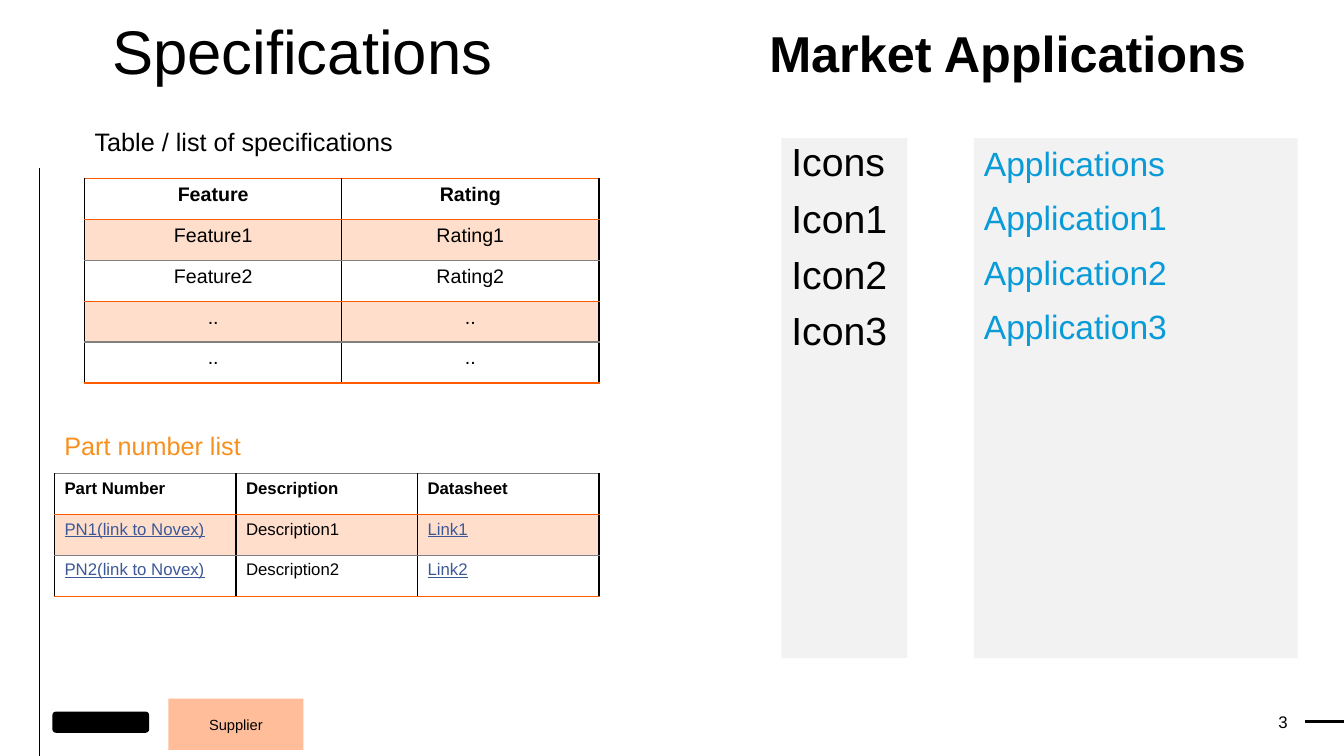
from dataclasses import dataclass

from lxml import etree
from pptx import Presentation
from pptx.dml.color import RGBColor
from pptx.enum.shapes import MSO_CONNECTOR, MSO_SHAPE
from pptx.enum.text import MSO_ANCHOR, MSO_AUTO_SIZE, PP_ALIGN
from pptx.oxml.ns import qn
from pptx.util import Inches, Pt

LEFT, CENTER, RIGHT = PP_ALIGN.LEFT, PP_ALIGN.CENTER, PP_ALIGN.RIGHT
TOP, MIDDLE = MSO_ANCHOR.TOP, MSO_ANCHOR.MIDDLE
RECTANGLE, ROUNDED = MSO_SHAPE.RECTANGLE, MSO_SHAPE.ROUNDED_RECTANGLE
STRAIGHT = MSO_CONNECTOR.STRAIGHT
NO_FIT = MSO_AUTO_SIZE.NONE
TITLE_ONLY = 5


@dataclass(frozen=True)
class Theme:
    font: str = "Arial"
    ink: str = "000000"
    rule: str = "808080"
    orange: str = "FF5B00"
    heading: str = "F7901E"
    link: str = "3C5896"
    blue: str = "099BD8"
    panel: str = "F2F2F2"
    badge: str = "FFBD99"
    band_alpha: int = 20
    title: float = 44
    subtitle: float = 36
    icon: float = 28
    application: float = 24
    label: float = 18
    feature: float = 14
    listing: float = 12
    small: float = 10.5


THEME = Theme()


def rgb(color):
    return RGBColor.from_string(color)


def style(para, size, color=THEME.ink, bold=False, align=LEFT, underline=False):
    para.alignment = align
    font = para.font
    font.name, font.size, font.bold = THEME.font, Pt(size), bold
    font.underline = underline
    font.color.rgb = rgb(color)


def write(shape, lines, size, anchor=TOP, inset=True, line_spacing=None,
          space_before=0, wrap=True, **look):
    """Fill a shape's text frame with equally styled paragraphs."""
    frame = shape.text_frame
    frame.word_wrap, frame.auto_size = wrap, NO_FIT
    frame.vertical_anchor = anchor
    frame.margin_left = frame.margin_right = Inches(0.1 if inset else 0)
    frame.margin_top = frame.margin_bottom = Inches(0.05 if inset else 0)
    frame.text = "\n".join(lines)
    for para in frame.paragraphs:
        style(para, size, **look)
        para.space_before = Pt(space_before)
        if line_spacing:
            para.line_spacing = line_spacing


def add_label(page, at, text, size, **look):
    box = page.shapes.add_textbox(*map(Inches, at))
    write(box, [text], size, **look)


def add_block(page, at, fill, kind=RECTANGLE):
    block = page.shapes.add_shape(kind, *map(Inches, at))
    block.shadow.inherit = False
    block.fill.solid()
    block.fill.fore_color.rgb = rgb(fill)
    block.line.fill.background()
    return block


def add_rule(page, start, end, width):
    rule = page.shapes.add_connector(STRAIGHT, *map(Inches, start + end))
    rule.line.color.rgb = rgb(THEME.ink)
    rule.line.width = Pt(width)
    etree.SubElement(rule._element.spPr, qn("a:effectLst"))


def set_border(cell, side, color, width=0.96):
    properties = cell._tc.get_or_add_tcPr()
    line = etree.SubElement(properties, qn(f"a:ln{side}"), w=str(Pt(width)))
    fill = etree.SubElement(line, qn("a:solidFill"))
    etree.SubElement(fill, qn("a:srgbClr"), val=color)


def shade_band(cell):
    cell.fill.solid()
    cell.fill.fore_color.rgb = rgb(THEME.orange)
    color = cell._tc.tcPr.find(qn("a:solidFill"))[0]
    etree.SubElement(color, qn("a:alpha"), val=str(THEME.band_alpha * 1000))


def add_banded_table(page, at, rows, edges, size, align, link_columns=()):
    """Draw a table; edges gives the colour of each horizontal rule, top down."""
    frame = page.shapes.add_table(len(rows), len(rows[0]), *map(Inches, at))
    table = frame.table
    table.first_row = table.horz_banding = False
    for r, values in enumerate(rows):
        for c, value in enumerate(values):
            cell = table.cell(r, c)
            cell.text = value
            is_link = r > 0 and c in link_columns
            style(cell.text_frame.paragraphs[0], size,
                  color=THEME.link if is_link else THEME.ink,
                  bold=r == 0, align=align, underline=is_link)
            for side, color in (("L", THEME.ink), ("R", THEME.ink),
                                ("T", edges[r]), ("B", edges[r + 1])):
                set_border(cell, side, color)
            if r % 2:
                shade_band(cell)
            else:
                cell.fill.background()


def add_title(page, at, text):
    title = page.shapes.title
    title.left, title.top, title.width, title.height = map(Inches, at)
    write(title, [text], THEME.title, align=CENTER, line_spacing=0.9)


def add_frame(page):
    """Margin rules, a plain bar in the corner and the page number."""
    add_rule(page, (0.39, 1.67), (0.39, 7.5), 1)
    add_rule(page, (13.33, 7.16), (12.94, 7.16), 2)
    add_block(page, (0.52, 7.06, 0.96, 0.21), THEME.ink, ROUNDED)
    add_label(page, (12.58, 7.01, 0.29, 0.3), "3", THEME.listing,
              anchor=MIDDLE, align=RIGHT, wrap=False)


def main():
    deck = Presentation()
    deck.slide_width, deck.slide_height = Inches(13.33), Inches(7.5)
    page = deck.slides.add_slide(deck.slide_layouts[TITLE_ONLY])
    add_frame(page)

    # Headings
    add_title(page, (0.3, 0.16, 5.4, 0.54), "Specifications")
    add_label(page, (7.63, 0.29, 5.4, 0.54), "Market Applications",
              THEME.subtitle, bold=True, inset=False, line_spacing=0.9)

    # Specifications
    orange, grey = THEME.orange, THEME.rule
    add_label(page, (0.84, 1.2, 4.62, 0.4), "Table / list of specifications",
              THEME.label)
    add_banded_table(
        page, (0.84, 1.77, 5.1, 2.03),
        [("Feature", "Rating"), ("Feature1", "Rating1"),
         ("Feature2", "Rating2"), ("..", ".."), ("..", "..")],
        (orange, orange, grey, orange, grey, orange), THEME.feature, CENTER)

    # Part numbers
    add_label(page, (0.54, 4.25, 3.26, 0.24), "Part number list", THEME.label,
              color=THEME.heading, line_spacing=0.9, space_before=10)
    add_banded_table(
        page, (0.54, 4.7, 5.4, 1.22),
        [("Part Number", "Description", "Datasheet"),
         ("PN1(link to Novex)", "Description1", "Link1"),
         ("PN2(link to Novex)", "Description2", "Link2")],
        (grey, orange, grey, orange), THEME.listing, LEFT, link_columns=(0, 2))

    # Market applications
    icons = add_block(page, (7.75, 1.37, 1.25, 5.16), THEME.panel)
    write(icons, ["Icons", "Icon1", "Icon2", "Icon3"], THEME.icon,
          line_spacing=0.9, space_before=10)
    applications = add_block(page, (9.66, 1.37, 3.21, 5.16), THEME.panel)
    write(applications,
          ["Applications", "Application1", "Application2", "Application3"],
          THEME.application, color=THEME.blue, space_before=10)

    # Supplier badge
    badge = add_block(page, (1.67, 6.93, 1.34, 0.51), THEME.badge)
    write(badge, ["Supplier"], THEME.small, anchor=MIDDLE, align=CENTER)

    deck.save("out.pptx")


if __name__ == "__main__":
    main()
